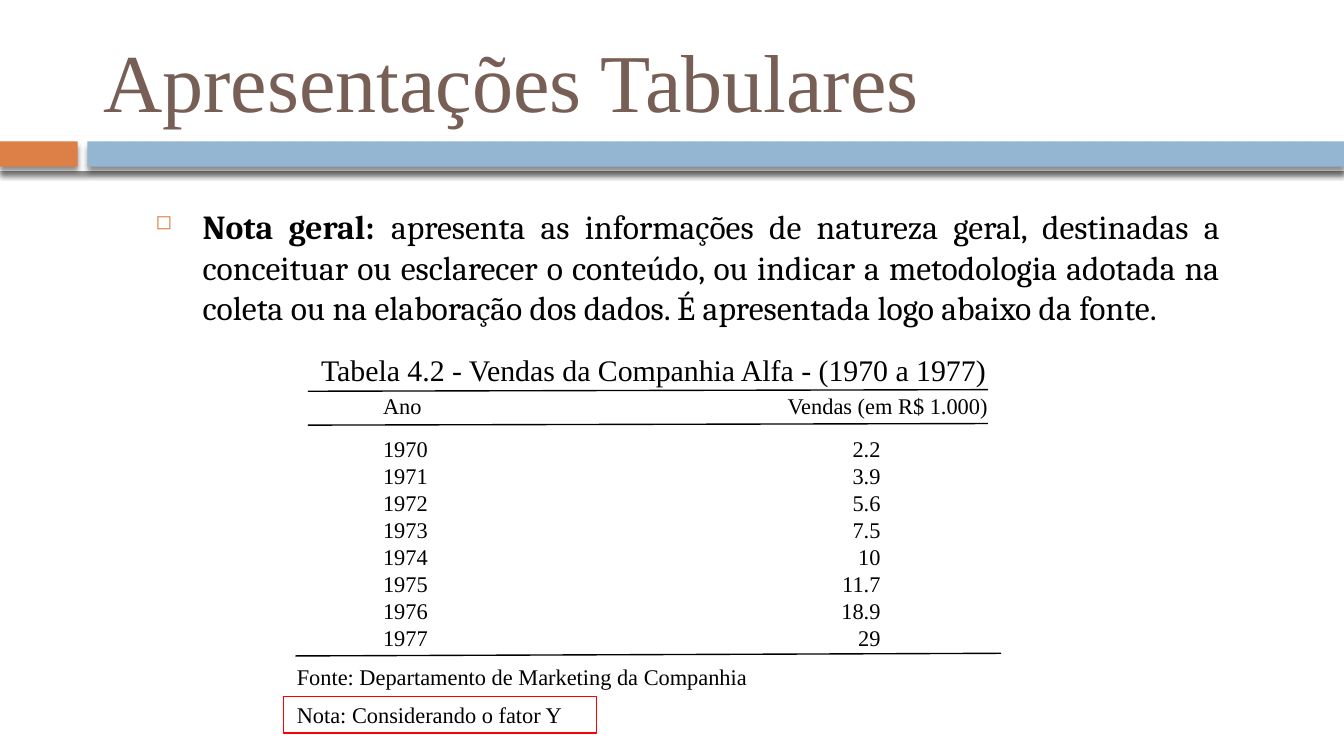
from lxml import etree
from pptx import Presentation
from pptx import util as u
from pptx.dml.color import RGBColor
from pptx.enum import shapes, text
from pptx.oxml import parse_xml
from pptx.oxml.ns import nsdecls, qn

SERIF = "Times New Roman"
ORANGE, BLUE, BROWN = "DD8047", "94B6D2", "775F55"
BLACK, WHITE, RED = "000000", "FFFFFF", "FF0000"
SALES = {"1970": "2.2", "1971": "3.9", "1972": "5.6", "1973": "7.5",
         "1974": "10", "1975": "11.7", "1976": "18.9", "1977": "29"}


def color(value):
    """Turn a hex string into a colour."""
    return RGBColor.from_string(value)


def add_span(para, words, size=12, name=SERIF, fill=BLACK, bold=False):
    """Add formatted words to a paragraph."""
    span = para.add_run()
    span.text = words
    span.font.size = u.Pt(size)
    span.font.name = name
    span.font.bold = bold
    span.font.color.rgb = color(fill)


def set_frame(frame, side=0.25, top=0.25, anchor=text.MSO_ANCHOR.TOP):
    """Set wrapping, insets and anchor of a text frame."""
    frame.word_wrap = True
    frame.margin_left = frame.margin_right = u.Cm(side)
    frame.margin_top = frame.margin_bottom = u.Cm(top)
    frame.vertical_anchor = anchor


def add_text(page, words, left, top, width, height, size=12):
    """Add a text box with one line."""
    box = page.shapes.add_textbox(*map(u.Cm, (left, top, width, height)))
    set_frame(box.text_frame)
    add_span(box.text_frame.paragraphs[0], words, size=size)


def add_rectangle(page, left, top, width, height):
    """Add a rectangle without shadow or fill."""
    box = page.shapes.add_shape(shapes.MSO_SHAPE.RECTANGLE,
                                *map(u.Cm, (left, top, width, height)))
    box.shadow.inherit = False
    box.fill.background()
    box.line.fill.background()
    return box


def add_band(page, left, top, width, height, fill):
    """Add a filled band with a soft shadow below it."""
    band = add_rectangle(page, left, top, width, height)
    band.fill.solid()
    band.fill.fore_color.rgb = color(fill)
    effects = band._element.spPr.find(qn("a:effectLst"))
    effects.append(parse_xml(
        f'<a:outerShdw {nsdecls("a")} blurRad="38100" dist="30480" dir="5400000">'
        '<a:srgbClr val="000000"><a:alpha val="45000"/></a:srgbClr></a:outerShdw>'))


def add_rule(page, left, top, right, bottom):
    """Add a thin black line."""
    rule = page.shapes.add_connector(shapes.MSO_CONNECTOR.STRAIGHT,
                                     *map(u.Cm, (left, top, right, bottom)))
    rule.line.width = u.Pt(0.75)
    rule.line.color.rgb = color(BLACK)
    etree.SubElement(rule._element.spPr, qn("a:effectLst"))


def set_title(page, words):
    """Place and fill the title."""
    title = page.shapes.title
    title.left, title.top, title.width, title.height = map(u.Cm, (1.7, 0.48, 22.66, 2.06))
    set_frame(title.text_frame, top=0.13, anchor=text.MSO_ANCHOR.MIDDLE)
    para = title.text_frame.paragraphs[0]
    para.alignment = text.PP_ALIGN.LEFT
    add_span(para, words, size=44, fill=BROWN)


def add_definition(page, term, meaning):
    """Add the bulleted definition of a term."""
    box = page.shapes.add_textbox(*map(u.Cm, (2.69, 3.68, 20.62, 2.6)))
    set_frame(box.text_frame, top=0.13)
    para = box.text_frame.paragraphs[0]
    para.alignment = text.PP_ALIGN.JUSTIFY
    layout = para._p.get_or_add_pPr()
    layout.set("marL", str(u.Cm(0.89)))
    layout.set("indent", str(u.Cm(-0.89)))
    for bullet in (f'<a:buClr {nsdecls("a")}><a:srgbClr val="{ORANGE}"/></a:buClr>',
                   f'<a:buSzPct {nsdecls("a")} val="60000"/>',
                   f'<a:buChar {nsdecls("a")} char="◻"/>'):
        layout.append(parse_xml(bullet))
    add_span(para, term, size=18, name="Cambria", bold=True)
    add_span(para, " ", size=20, name="Cambria", bold=True)
    add_span(para, meaning, size=18, name="Cambria")


def fill_cell(cell, words, align, left=0, right=0, anchor=text.MSO_ANCHOR.BOTTOM):
    """Write words into a clear table cell."""
    cell.fill.background()
    cell.margin_left, cell.margin_right = u.Cm(left), u.Cm(right)
    cell.margin_top = cell.margin_bottom = 0
    cell.vertical_anchor = anchor
    para = cell.text_frame.paragraphs[0]
    para.alignment = align
    add_span(para, words)


def add_sales_table(page):
    """Add the table of sales by year."""
    heights = [0.63, 0.73] + [0.51] * (len(SALES) - 1)
    frame = page.shapes.add_table(len(heights), 2, u.Cm(5.82), u.Cm(7.38),
                                  u.Cm(12.85), u.Cm(sum(heights)))
    table = frame.table
    table.first_row = table.horz_banding = False
    for row, height in zip(table.rows, heights):
        row.height = u.Cm(height)
    lines = [("Ano", "Vendas (em R$ 1.000)"), *SALES.items()]
    for index, (year, sales) in enumerate(lines):
        anchor = text.MSO_ANCHOR.BOTTOM if index else text.MSO_ANCHOR.MIDDLE
        fill_cell(table.cell(index, 0), year, text.PP_ALIGN.LEFT,
                  left=1.42, anchor=anchor)
        fill_cell(table.cell(index, 1), sales, text.PP_ALIGN.RIGHT,
                  right=2.03 if index else 0, anchor=anchor)


def add_note(page, words):
    """Add the note in a red frame."""
    note = add_rectangle(page, 5.36, 13.16, 5.92, 0.69)
    note.line.color.rgb = color(RED)
    note.line.width = u.Pt(0.75)
    set_frame(note.text_frame, top=0, anchor=text.MSO_ANCHOR.MIDDLE)
    para = note.text_frame.paragraphs[0]
    para.alignment = text.PP_ALIGN.LEFT
    add_span(para, words)


def main():
    """Build the slide and save it."""
    deck = Presentation()
    deck.slide_width, deck.slide_height = u.Cm(25.4), u.Cm(14.28)
    page = deck.slides.add_slide(deck.slide_layouts[5])
    add_band(page, 0, 2.57, 25.4, 0.66, WHITE)
    add_band(page, 0, 2.67, 1.47, 0.48, ORANGE)
    add_band(page, 1.65, 2.67, 23.75, 0.48, BLUE)
    set_title(page, "Apresentações Tabulares")
    add_definition(page, "Nota geral:",
                   "apresenta as informações de natureza geral, destinadas a conceituar "
                   "ou esclarecer o conteúdo, ou indicar a metodologia adotada na coleta "
                   "ou na elaboração dos dados. É apresentada logo abaixo da fonte.")
    add_text(page, "Tabela 4.2 - Vendas da Companhia Alfa - (1970 a 1977)",
             5.82, 6.4, 14.17, 0.89, size=16)
    add_sales_table(page)
    add_rule(page, 5.82, 7.39, 18.67, 7.36)
    add_rule(page, 5.82, 8.03, 18.67, 8)
    add_rule(page, 5.58, 12.39, 18.92, 12.34)
    add_text(page, "Fonte: Departamento de Marketing da Companhia", 5.36, 12.27, 13.06, 0.61)
    add_note(page, "Nota: Considerando o fator Y")
    deck.save("out.pptx")


if __name__ == "__main__":
    main()
